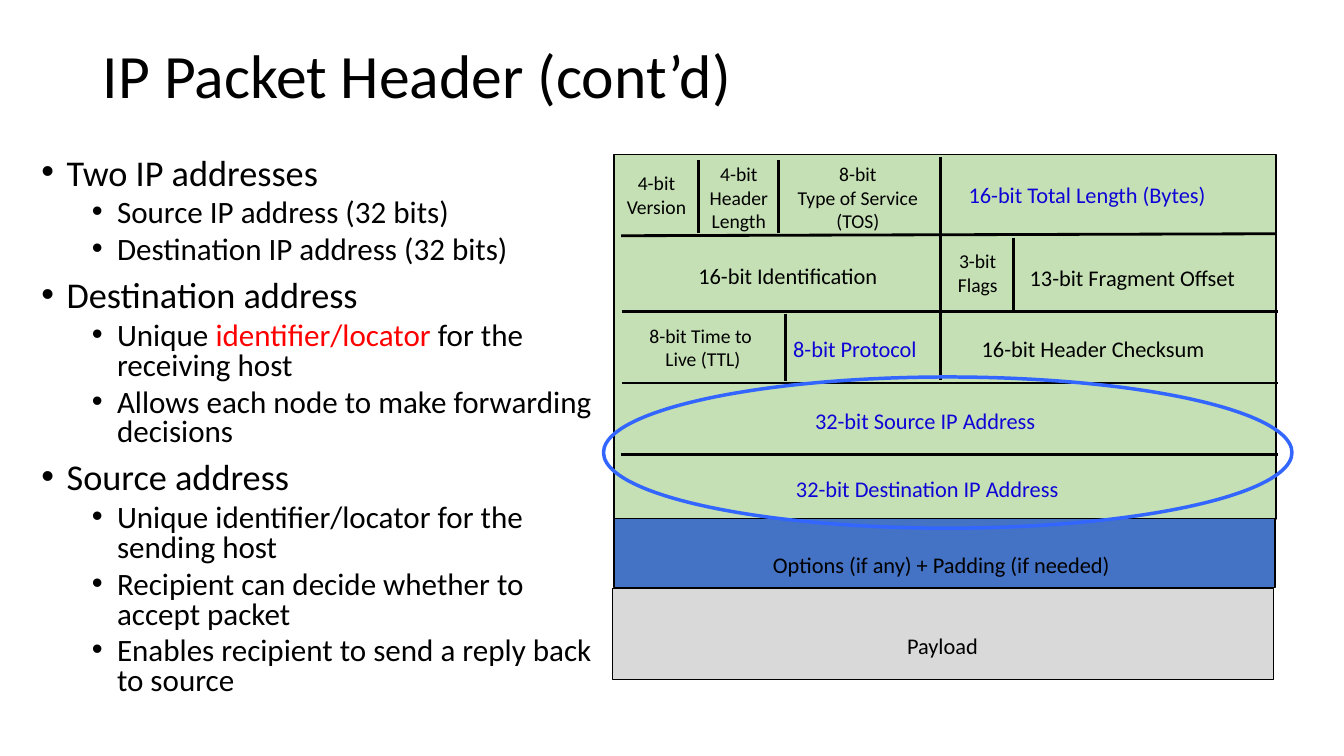
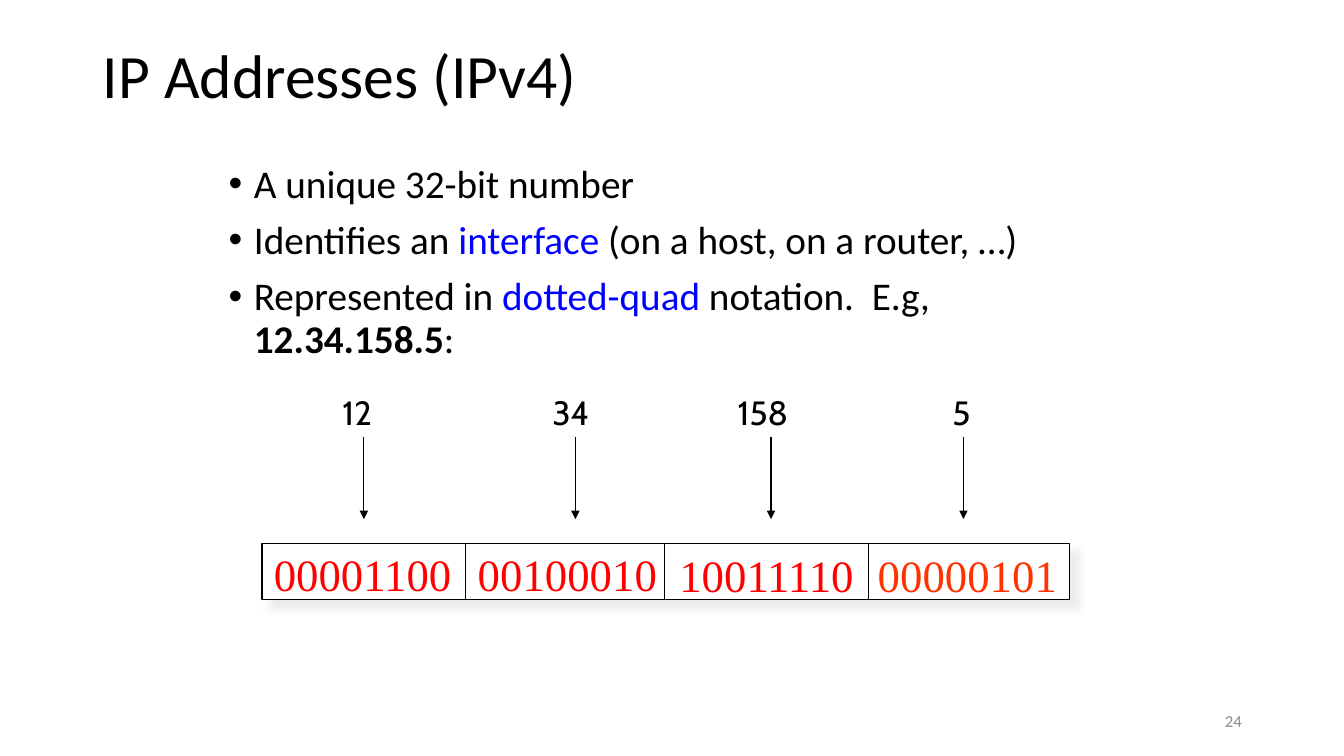
from dataclasses import dataclass
from typing import NamedTuple

from lxml.etree import SubElement
from pptx import Presentation
from pptx.dml.color import RGBColor
from pptx.enum.shapes import MSO_CONNECTOR as Connector, MSO_SHAPE as Preset
from pptx.enum.text import MSO_ANCHOR as Anchor, MSO_AUTO_SIZE as AutoSize, PP_ALIGN as Align
from pptx.oxml.ns import qn
from pptx.shapes.autoshape import Shape
from pptx.shapes.shapetree import GroupShapes, SlideShapes
from pptx.slide import Slide
from pptx.text.text import TextFrame, _Paragraph as Paragraph
from pptx.util import Cm, Pt

BLACK = RGBColor(0x00, 0x00, 0x00)
WHITE = RGBColor(0xFF, 0xFF, 0xFF)
RED = RGBColor(0xFF, 0x00, 0x00)
ORANGE = RGBColor(0xFF, 0x33, 0x00)
BLUE = RGBColor(0x00, 0x00, 0xFF)
INK_BLUE = RGBColor(0x0E, 0x04, 0xD6)
RING_BLUE = RGBColor(0x33, 0x66, 0xFF)
HEADER_GREEN = RGBColor(0xC5, 0xE0, 0xB4)
OPTIONS_BLUE = RGBColor(0x44, 0x72, 0xC4)
PAYLOAD_GREY = RGBColor(0xD9, 0xD9, 0xD9)
NUMBER_GREY = RGBColor(0x8C, 0x8C, 0x8C)
BODY_FONT = "Calibri"
Shapes = SlideShapes | GroupShapes


class Frame(NamedTuple):
    left: float
    top: float
    width: float
    height: float

    def lengths(self) -> list[Cm]:
        return [Cm(value) for value in self]


class Span(NamedTuple):
    text: str
    colour: RGBColor = BLACK
    bold: bool = False


class Bullet(NamedTuple):
    level: int
    spans: tuple[Span, ...]


class Rule(NamedTuple):
    x1: float
    y1: float
    x2: float
    y2: float


@dataclass(frozen=True)
class ListStyle:
    sizes: tuple[float, ...]
    line_spacing: float


@dataclass(frozen=True)
class Label:
    left: float
    top: float
    width: float
    lines: tuple[str, ...]
    colour: RGBColor = BLACK
    size: float = 16
    font: str = BODY_FONT
    align: Align = Align.LEFT


@dataclass(frozen=True)
class Octet:
    decimal: Label
    arrow_x: float
    bits: Label


TITLE_FRAME = Frame(2.34, 1.02, 29.21, 3.68)
NUMBER_FRAME = Frame(23.93, 17.65, 7.62, 1.02)


def bullet(level: int, *spans: Span | str) -> Bullet:
    return Bullet(level, tuple(Span(s) if isinstance(s, str) else s for s in spans))


def small(left: float, top: float, width: float, *lines: str) -> Label:
    return Label(left, top, width, lines, size=14, align=Align.CENTER)


def octet(decimal: str, left: float, width: float, arrow_x: float, bits: str,
          bits_left: float, bits_top: float, bits_width: float, colour: RGBColor = RED) -> Octet:
    return Octet(Label(left, 9.75, width, (decimal,), size=24, font="Cabin"), arrow_x,
                 Label(bits_left, bits_top, bits_width, (bits,), colour, 32, "Times New Roman"))


ADDRESS_BULLETS = (
    bullet(0, "Two IP addresses"),
    bullet(1, "Source IP address (32 bits)"),
    bullet(1, "Destination IP address (32 bits)"),
    bullet(0, "Destination address"),
    bullet(1, "Unique ", Span("identifier/locator", RED), " for the receiving host"),
    bullet(1, "Allows each node to make forwarding decisions"),
    bullet(0, "Source address"),
    bullet(1, "Unique identifier/locator for the sending host"),
    bullet(1, "Recipient can decide whether to accept packet"),
    bullet(1, "Enables recipient to send a reply back to source"),
)
IPV4_BULLETS = (
    bullet(0, "A unique 32-bit number"),
    bullet(0, "Identifies an ", Span("interface", BLUE), " (on a host, on a router, …)"),
    bullet(0, "Represented in ", Span("dotted-quad", BLUE), " notation.  E.g, ",
           Span("12.34.158.5", bold=True), ":"),
)
PACKET_BLOCKS = (
    (Frame(15.47, 3.89, 16.69, 9.19), HEADER_GREEN),
    (Frame(15.47, 13.06, 16.66, 1.75), OPTIONS_BLUE),
    (Frame(15.44, 14.83, 16.66, 2.29), PAYLOAD_GREY),
)
PACKET_RULES = (
    Rule(15.65, 5.94, 32.16, 5.89),
    Rule(15.67, 7.85, 32.21, 7.85),
    Rule(15.67, 9.65, 32.21, 9.65),
    Rule(15.65, 11.46, 32.21, 11.46),
    Rule(23.7, 3.96, 23.7, 9.58),
    Rule(19.61, 4.04, 19.61, 5.87),
    Rule(17.6, 4.04, 17.6, 5.87),
    Rule(25.54, 5.99, 25.54, 7.82),
    Rule(19.79, 7.92, 19.79, 9.6),
)
PACKET_FIELDS = (
    small(15.54, 4.19, 2.01, "4-bit", "Version"),
    small(17.63, 3.96, 1.98, "4-bit", "Header", "Length"),
    small(19.84, 3.96, 3.56, "8-bit", "Type of Service", "(TOS)"),
    Label(24.16, 4.45, 6.55, ("16-bit Total Length (Bytes)",), INK_BLUE),
    Label(17.35, 6.48, 5.05, ("16-bit Identification",)),
    small(23.88, 6.15, 1.52, "3-bit", "Flags"),
    Label(25.7, 6.53, 5.77, ("13-bit Fragment Offset",)),
    small(16.1, 8.03, 3.23, "8-bit Time to ", "Live (TTL)"),
    Label(19.74, 8.31, 3.66, ("8-bit Protocol",), INK_BLUE),
    Label(24.49, 8.33, 6.2, ("16-bit Header Checksum",)),
    Label(20.29, 10.13, 6.12, ("32-bit Source IP Address",), INK_BLUE),
    Label(19.81, 11.86, 7.21, ("32-bit Destination IP Address",), INK_BLUE),
    Label(19.23, 13.77, 9.09, ("Options (if any) + Padding (if needed)",)),
    Label(22.61, 15.8, 2.31, ("Payload",)),
)
OCTETS = (
    octet("12", 8.38, 1.45, 9.17, "00001100", 6.65, 13.64, 5.03),
    octet("34", 13.67, 1.45, 14.5, "00100010", 11.79, 13.64, 5.08),
    octet("158", 18.34, 1.9, 19.43, "10011110", 16.87, 13.67, 4.95),
    octet("5", 23.75, 0.99, 24.28, "00000101", 21.87, 13.67, 5.08, ORANGE),
)
OCTET_DIVIDERS = (11.73, 16.74, 21.89)


def add_span(para: Paragraph, span: Span, size: float, font: str = BODY_FONT) -> None:
    run = para.add_run()
    run.text = span.text
    run.font.name = font
    run.font.size = Pt(size)
    run.font.bold = span.bold
    run.font.color.rgb = span.colour


def place(holder: Shape, frame: Frame) -> TextFrame:
    holder.left, holder.top, holder.width, holder.height = frame.lengths()
    text = holder.text_frame
    text.auto_size = AutoSize.NONE
    text.vertical_anchor = Anchor.TOP
    return text


def add_bullet(para: Paragraph, item: Bullet, style: ListStyle) -> None:
    para.level = item.level
    para.line_spacing = style.line_spacing
    para.space_before = Pt((10, 5)[item.level])
    properties = para._p.get_or_add_pPr()
    properties.set("marL", str(Cm((0.635, 1.905)[item.level])))
    properties.set("indent", str(Cm(-0.635)))
    SubElement(properties, qn("a:buFont")).set("typeface", "Arial")
    SubElement(properties, qn("a:buChar")).set("char", "•")
    for span in item.spans:
        add_span(para, span, style.sizes[item.level])


def add_page(deck: Presentation, title: str, body_frame: Frame,
             bullets: tuple[Bullet, ...], style: ListStyle) -> Slide:
    page = deck.slides.add_slide(deck.slide_layouts[1])
    heading = place(page.shapes.title, TITLE_FRAME).paragraphs[0]
    heading.alignment = Align.LEFT
    heading.line_spacing = 0.9
    add_span(heading, Span(title), 44)
    body = place(page.placeholders[1], body_frame)
    for index, item in enumerate(bullets):
        add_bullet(body.add_paragraph() if index else body.paragraphs[0], item, style)
    return page


def add_block(shapes: Shapes, preset: Preset, frame: Frame, fill: RGBColor | None,
              line: RGBColor = BLACK, weight: float = 1) -> Shape:
    block = shapes.add_shape(preset, *frame.lengths())
    block.shadow.inherit = False
    if fill is None:
        block.fill.background()
    else:
        block.fill.solid()
        block.fill.fore_color.rgb = fill
    block.line.color.rgb = line
    block.line.width = Pt(weight)
    return block


def add_rule(shapes: Shapes, rule: Rule, weight: float, arrow: bool = False) -> None:
    line = shapes.add_connector(Connector.STRAIGHT, *[Cm(value) for value in rule])
    line.line.color.rgb = BLACK
    line.line.width = Pt(weight)
    properties = line._element.spPr
    if arrow:
        SubElement(properties.find(qn("a:ln")), qn("a:tailEnd")).set("type", "triangle")
    SubElement(properties, qn("a:effectLst"))


def add_label(shapes: Shapes, label: Label) -> None:
    height = len(label.lines) * label.size * 0.043 + 0.25
    box = shapes.add_textbox(*Frame(label.left, label.top, label.width, height).lengths())
    text = box.text_frame
    text.word_wrap = False
    text.auto_size = AutoSize.SHAPE_TO_FIT_TEXT
    for index, line in enumerate(label.lines):
        para = text.add_paragraph() if index else text.paragraphs[0]
        para.alignment = label.align
        add_span(para, Span(line, label.colour), label.size, label.font)


def add_soft_shadow(block: Shape) -> None:
    effects = block._element.spPr.find(qn("a:effectLst"))
    shadow = SubElement(effects, qn("a:outerShdw"), blurRad=str(Pt(5)), dist=str(Pt(8.5)),
                        dir="2700000", algn="tl", rotWithShape="0")
    colour = SubElement(shadow, qn("a:srgbClr"), val="E7E6E6")
    SubElement(colour, qn("a:alpha"), val="75000")


def add_page_number(page: Slide, number: str) -> None:
    box = page.shapes.add_textbox(*NUMBER_FRAME.lengths())
    box.text_frame.word_wrap = True
    box.text_frame.vertical_anchor = Anchor.MIDDLE
    para = box.text_frame.paragraphs[0]
    para.alignment = Align.RIGHT
    add_span(para, Span(number, NUMBER_GREY), 12)


def build_header_page(deck: Presentation) -> None:
    page = add_page(deck, "IP Packet Header (cont’d)", Frame(0.79, 3.86, 14.4, 13.89),
                    ADDRESS_BULLETS, ListStyle((25.9, 22.2), 0.8))
    for frame, fill in PACKET_BLOCKS:
        add_block(page.shapes, Preset.RECTANGLE, frame, fill)
    for rule in PACKET_RULES:
        add_rule(page.shapes, rule, 2)
    for field in PACKET_FIELDS:
        add_label(page.shapes, field)
    add_block(page.shapes, Preset.OVAL, Frame(15.21, 9.5, 17.35, 3.81), None, RING_BLUE, 2.5)


def build_address_page(deck: Presentation) -> None:
    page = add_page(deck, "IP Addresses (IPv4)", Frame(5.51, 4.01, 22.86, 12.24),
                    IPV4_BULLETS, ListStyle((28,), 0.9))
    add_page_number(page, "24")
    address = page.shapes.add_group_shape().shapes
    bar = Frame(6.6, 13.69, 20.35, 1.42)
    add_soft_shadow(add_block(address, Preset.RECTANGLE, bar, WHITE))
    for x in OCTET_DIVIDERS:
        add_rule(address, Rule(x, bar.top, x, bar.top + bar.height), 1)
    for part in OCTETS:
        add_label(address, part.bits)
        add_label(page.shapes, part.decimal)
        add_rule(page.shapes, Rule(part.arrow_x, 11, part.arrow_x, 13.08), 0.75, arrow=True)


def main() -> None:
    deck = Presentation()
    deck.slide_width, deck.slide_height = Cm(33.87), Cm(19.05)
    build_header_page(deck)
    build_address_page(deck)
    deck.save("out.pptx")


if __name__ == "__main__":
    main()
